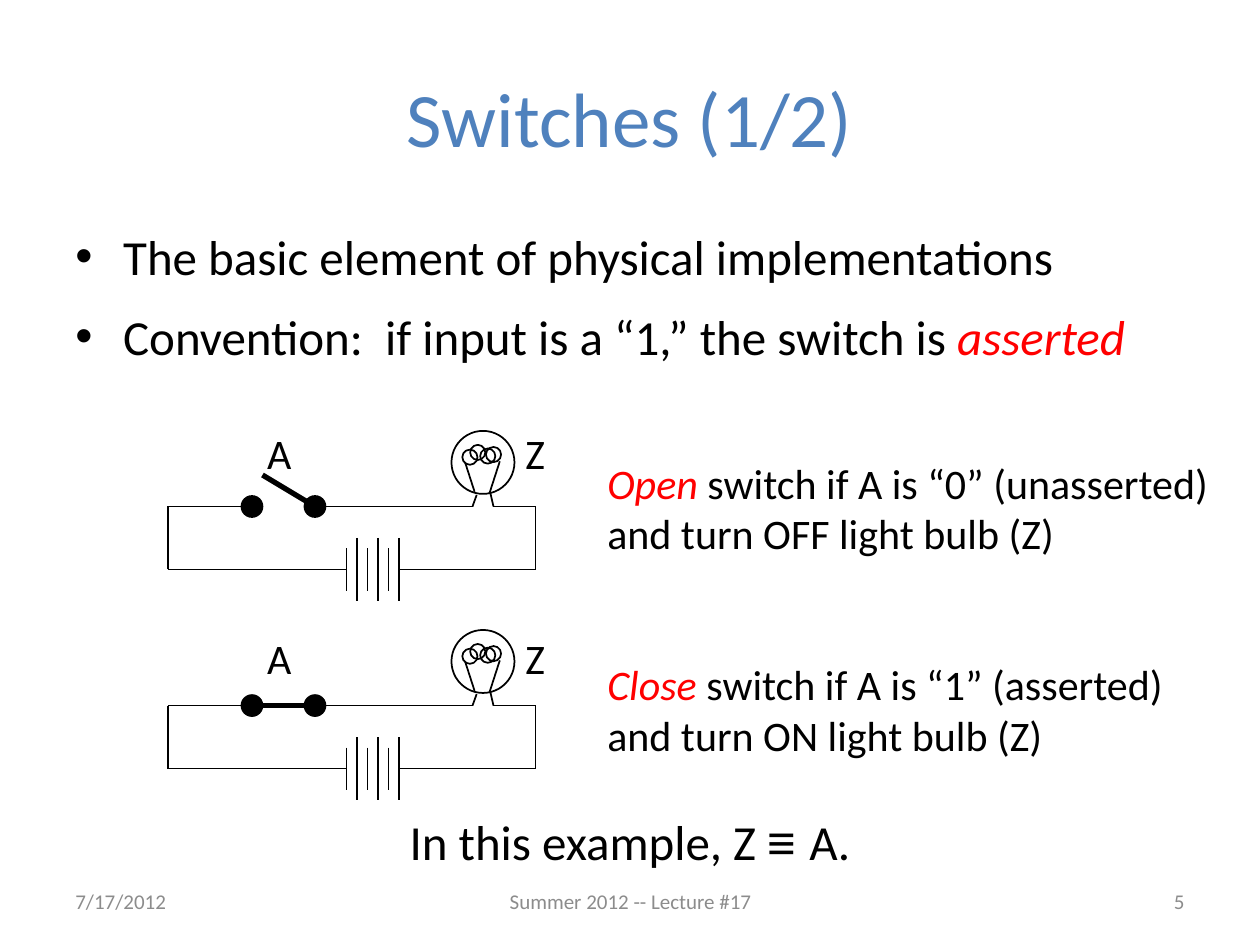
from lxml import etree
from pptx import Presentation, util as u
from pptx.dml.color import RGBColor
from pptx.enum import shapes, text
from pptx.oxml.ns import qn

BLACK = RGBColor(0, 0, 0)
WHITE = RGBColor(255, 255, 255)
RED = RGBColor(255, 0, 0)
BLUE = RGBColor(0x4F, 0x81, 0xBD)
GREY = RGBColor(0x8C, 0x8C, 0x8C)

WIDE, HIGH = 10, 7.5
UNIT = 1 / 12  # circuit grid step in inches
LEFT, CENTER, RIGHT = text.PP_ALIGN.LEFT, text.PP_ALIGN.CENTER, text.PP_ALIGN.RIGHT
TOP, MID = text.MSO_ANCHOR.TOP, text.MSO_ANCHOR.MIDDLE
TIGHT = (0.02, 0.03)

# Wires, filament and leads in grid steps from the slide edge and the top wire
WIRES = [
    (16, 0, 24, 0), (30, 0, 41, 0), (41, 0, 45, 0), (47, 0, 51, 0),
    (51, 0, 51, 6), (51, 6, 38, 6), (33, 6, 16, 6), (16, 6, 16, 0),
]
LEADS = [
    (44.3, -4.2, 45.2, -1.4), (47.6, -4.3, 46.6, -1.2),
    (45.4, -1.1, 45, 0), (46.7, -1.3, 47, 0),
]
COILS = [(44.75, -5.15), (45.5, -5.15 - 0.5), (46.45, -4.8), (47, -5)]
COILS = [(44.75, -4.7), (45.5, -5.15), (46.45, -4.8), (47, -4.95)]


def bullet(para):
    props = para._p.get_or_add_pPr()
    props.set("marL", str(u.Inches(0.38)))
    props.set("indent", str(-u.Inches(0.38)))
    etree.SubElement(props, qn("a:buFont")).set("typeface", "Arial")
    etree.SubElement(props, qn("a:buChar")).set("char", "•")


def write(host, box, paras, size=24, color=BLACK, align=LEFT, anchor=TOP,
          pad=(0.1, 0.05), before=0, line=None, dots=False):
    """Add a text box; a paragraph is a list of strings or (string, format) pairs."""
    frame = host.add_textbox(*map(u.Inches, box)).text_frame
    frame.word_wrap = True
    frame.vertical_anchor = anchor
    frame.margin_left = frame.margin_right = u.Inches(pad[0])
    frame.margin_top = frame.margin_bottom = u.Inches(pad[1])
    for i, runs in enumerate(paras):
        para = frame.add_paragraph() if i else frame.paragraphs[0]
        para.alignment = align
        para.space_before = u.Pt(before)
        if line:
            para.line_spacing = u.Pt(line)
        if dots:
            bullet(para)
        for item in runs:
            words, form = (item, {}) if isinstance(item, str) else item
            run = para.add_run()
            run.text = words
            run.font.size = u.Pt(size)
            run.font.name = form.get("font", "Calibri")
            run.font.italic = form.get("italic", False)
            run.font.color.rgb = form.get("color", color)


def wire(host, base, ends, width=1):
    x1, y1, x2, y2 = (u.Inches(n * UNIT) for n in ends)
    top = u.Inches(base)
    link = host.add_connector(shapes.MSO_CONNECTOR.STRAIGHT, x1, top + y1, x2, top + y2)
    link.line.color.rgb = BLACK
    link.line.width = u.Pt(width)
    etree.SubElement(link._element.spPr, qn("a:effectLst"))


def disc(host, base, x, y, span, fill=None):
    """Add a circle centred on a grid point."""
    left, top = (x - span / 2) * UNIT, base + (y - span / 2) * UNIT
    oval = host.add_shape(shapes.MSO_SHAPE.OVAL,
                          *map(u.Inches, (left, top, span * UNIT, span * UNIT)))
    oval.shadow.inherit = False
    oval.line.color.rgb = BLACK
    oval.line.width = u.Pt(1)
    if fill is None:
        oval.fill.background()
    else:
        oval.fill.solid()
        oval.fill.fore_color.rgb = fill


def circuit(slide, base, label, lever):
    """Draw one circuit; base is its top wire, label the top of its letters."""
    host = slide.shapes.add_group_shape().shapes
    for x, wide, name in ((2.1, 0.6, "A"), (4.15, 0.3, "Z")):
        write(host, (x, label, wide, 0.49), [[name]], pad=TIGHT, line=26)
    for ends in WIRES:
        wire(host, base, ends)
    disc(host, base, 46, -4.2, 6, WHITE)
    for x, y in COILS:
        disc(host, base, x, y, 1.44)
    for ends in LEADS:
        wire(host, base, ends)
    wire(host, base, (30, 0) + lever, 3)
    for x in (24, 30):
        disc(host, base, x, 0, 2, BLACK)
    for i in range(6):
        half = 3 if i % 2 else 2
        wire(host, base, (33 + i, 6 - half, 33 + i, 6 + half))


def main():
    deck = Presentation()
    deck.slide_width, deck.slide_height = u.Inches(WIDE), u.Inches(HIGH)
    slide = deck.slides.add_slide(deck.slide_layouts[6])
    host = slide.shapes
    hot = {"color": RED, "italic": True}

    write(host, (0.5, 0.3, 9, 1.25), [["Switches (1/2)"]],
          size=44, color=BLUE, align=CENTER, anchor=MID)
    write(host, (0.5, 1.75, 9, 1.5), [
        ["The basic element of physical implementations"],
        ["Convention:  if input is a “1,” the switch is ", ("asserted", hot)],
    ], size=28, before=12, dots=True)

    for x, wide, words, align in (
        (0.5, 2.33, "7/17/2012", LEFT),
        (3.42, 3.17, "Summer 2012 -- Lecture #17", CENTER),
        (7.17, 2.33, "5", RIGHT),
    ):
        write(host, (x, 6.95, wide, 0.4), [[words]],
              size=12, color=GREY, align=align, anchor=MID)

    write(host, (0.5, 6.5, 9, 0.47),
          [["In this example, Z ", ("≡ ", {"font": "Arial"}), "A."]],
          size=28, align=CENTER, before=11, line=26)

    circuit(slide, 4.02, 3.4, (25, -3))
    circuit(slide, 5.6, 5.03, (24, 0))

    for y, verb, rest, end in (
        (3.6, "Open ", "switch if A is “0” (unasserted)", "and turn OFF light bulb (Z)"),
        (5.2, "Close ", "switch if A is “1” (asserted)", "and turn ON light bulb (Z)"),
    ):
        write(host, (4.8, y, 5, 1.12), [[(verb, hot), rest], [end]], pad=TIGHT)

    deck.save("out.pptx")


if __name__ == "__main__":
    main()
